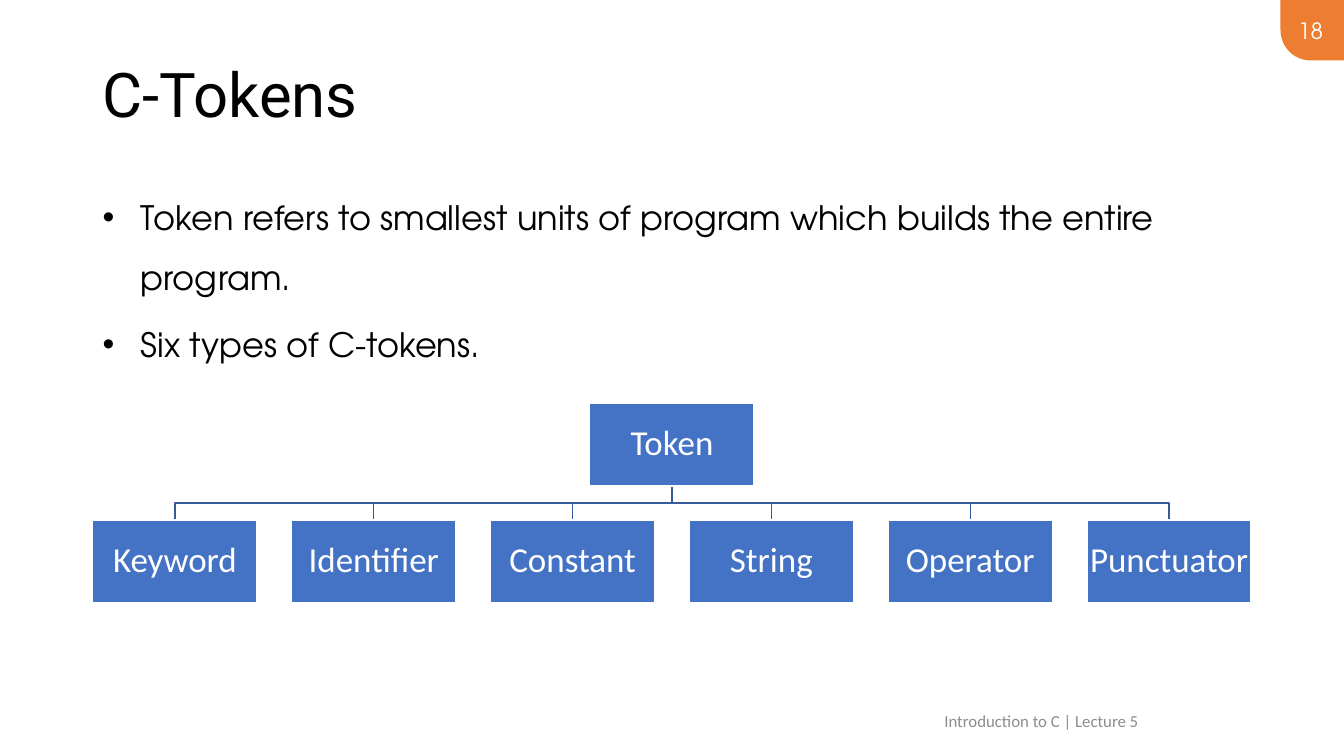
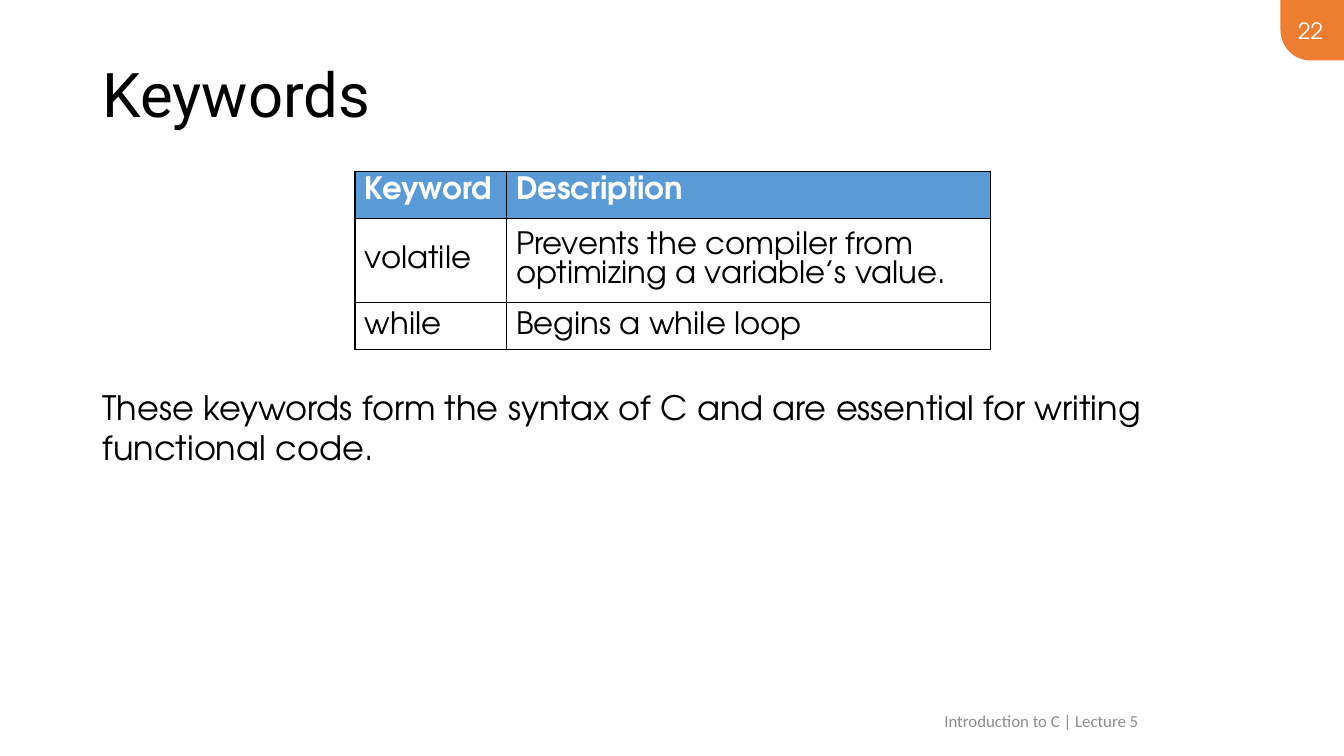
from dataclasses import dataclass

import pptx
import pptx.dml.color
import pptx.enum.shapes
import pptx.enum.text
import pptx.oxml.ns
import pptx.slide
import pptx.util
from lxml import etree

Inches = pptx.util.Inches
Pt = pptx.util.Pt
Shapes = pptx.enum.shapes.MSO_SHAPE
Align = pptx.enum.text.PP_ALIGN
Anchor = pptx.enum.text.MSO_ANCHOR

HEADING_FONT = "Roboto"
BODY_FONT = "TeX Gyre Adventor"
LABEL_FONT = "Calibri"
BLACK = "000000"
WHITE = "FFFFFF"
GREY = "8C8C8C"
ORANGE = "ED7D31"
BLUE = "4472C4"
BRANCH_BLUE = "365B9D"
HEADER_BLUE = "5B9BD5"

MARGIN = 0.92
FOOTER = "Introduction to C | Lecture 5"
TOKEN_KINDS = ["Keyword", "Identifier", "Constant", "String", "Operator", "Punctuator"]
KEYWORD_ROWS = [
    ("Keyword", "Description"),
    ("volatile", "Prevents the compiler from optimizing a variable’s value."),
    ("while", "Begins a while loop"),
]


@dataclass(frozen=True)
class Box:
    left: float
    top: float
    width: float
    height: float

    @property
    def center(self) -> float:
        return self.left + self.width / 2

    @property
    def bottom(self) -> float:
        return self.top + self.height

    def lengths(self) -> list[int]:
        return [Inches(v) for v in (self.left, self.top, self.width, self.height)]


def color(value: str) -> pptx.dml.color.RGBColor:
    return pptx.dml.color.RGBColor.from_string(value)


def add_bullet(paragraph, indent: float) -> None:
    properties = paragraph._p.get_or_add_pPr()
    properties.set("marL", str(Inches(indent)))
    properties.set("indent", str(-Inches(indent)))
    qn = pptx.oxml.ns.qn
    etree.SubElement(properties, qn("a:buFont"), typeface="Arial")
    etree.SubElement(properties, qn("a:buChar"), char="•")


def write(frame, *texts: str, size: float, font: str = BODY_FONT, ink: str = BLACK,
          bold: bool = False, align=Align.LEFT, spacing: float = 1.0,
          before: float = 0, bullet_indent: float = 0) -> None:
    frame.word_wrap = True
    for index, text in enumerate(texts):
        paragraph = frame.add_paragraph() if index else frame.paragraphs[0]
        if bullet_indent:
            add_bullet(paragraph, bullet_indent)
        paragraph.alignment = align
        paragraph.line_spacing = spacing
        if index:
            paragraph.space_before = Pt(before)
        run = paragraph.add_run()
        run.text = text
        run.font.name = font
        run.font.size = Pt(size)
        run.font.bold = bold
        run.font.color.rgb = color(ink)


def add_text(slide: pptx.slide.Slide, box: Box, *texts: str,
             anchor=Anchor.TOP, **style) -> None:
    frame = slide.shapes.add_textbox(*box.lengths()).text_frame
    frame.vertical_anchor = anchor
    write(frame, *texts, **style)


def add_block(slide: pptx.slide.Slide, preset, box: Box, fill: str):
    block = slide.shapes.add_shape(preset, *box.lengths())
    block.shadow.inherit = False
    block.fill.solid()
    block.fill.fore_color.rgb = color(fill)
    block.line.fill.background()
    return block


def add_page(deck, title: str, number: int) -> pptx.slide.Slide:
    slide = deck.slides.add_slide(deck.slide_layouts[6])
    corner = add_block(slide, Shapes.ROUND_1_RECTANGLE, Box(12.7, 0, 0.64, 0.6), ORANGE)
    corner.adjustments[0] = 0.5
    corner.rotation = 180
    add_text(slide, Box(MARGIN, 0.4, 11.5, 1.14), title, size=44,
             font=HEADING_FONT, spacing=0.9, anchor=Anchor.MIDDLE)
    add_text(slide, Box(12.58, 0.1, 0.64, 0.4), str(number), size=16,
             ink=WHITE, align=Align.RIGHT, anchor=Anchor.MIDDLE)
    add_text(slide, Box(8.08, 6.95, 4.5, 0.4), FOOTER, size=12, font=LABEL_FONT,
             ink=GREY, align=Align.CENTER, anchor=Anchor.MIDDLE)
    return slide


def add_branch(slide: pptx.slide.Slide, parent: Box, child: Box) -> None:
    middle = (parent.bottom + child.top) / 2
    points = [(parent.center, middle), (child.center, middle), (child.center, child.top)]
    builder = slide.shapes.build_freeform(Inches(parent.center), Inches(parent.bottom))
    builder.add_line_segments([(Inches(x), Inches(y)) for x, y in points], close=False)
    branch = builder.convert_to_shape()
    branch.shadow.inherit = False
    branch.fill.background()
    branch.line.color.rgb = color(BRANCH_BLUE)
    branch.line.width = Pt(1)


def add_node(slide: pptx.slide.Slide, box: Box, label: str) -> None:
    node = add_block(slide, Shapes.RECTANGLE, box, BLUE)
    node.line.color.rgb = color(WHITE)
    node.line.width = Pt(1)
    frame = node.text_frame
    frame.margin_left = frame.margin_right = Inches(0.02)
    frame.margin_top = frame.margin_bottom = Inches(0.02)
    frame.vertical_anchor = Anchor.MIDDLE
    write(frame, label, size=25, font=LABEL_FONT, ink=WHITE,
          align=Align.CENTER, spacing=0.9)


def add_token_tree(slide: pptx.slide.Slide) -> None:
    width, height, span = 1.63, 0.82, 11.49
    pitch = (span - width) / (len(TOKEN_KINDS) - 1)
    root = Box(MARGIN + (span - width) / 2, 4, width, height)
    leaves = [Box(MARGIN + i * pitch, 5.16, width, height)
              for i in range(len(TOKEN_KINDS))]
    for leaf in leaves:
        add_branch(slide, root, leaf)
    for box, label in zip([root, *leaves], ["Token", *TOKEN_KINDS]):
        add_node(slide, box, label)


def set_borders(cell, **widths: float) -> None:
    qn = pptx.oxml.ns.qn
    properties = cell._tc.get_or_add_tcPr()
    for side in ("L", "R", "T", "B"):
        width = Pt(widths.get(side, 1))
        line = etree.SubElement(properties, qn(f"a:ln{side}"), w=str(width))
        fill = etree.SubElement(line, qn("a:solidFill"))
        etree.SubElement(fill, qn("a:srgbClr"), val=BLACK)


def add_keyword_table(slide: pptx.slide.Slide) -> None:
    column_widths = [1.5, 4.8]
    row_heights = [0.41, 0.67, 0.41]
    box = Box(3.52, 1.7, sum(column_widths), sum(row_heights))
    table = slide.shapes.add_table(len(row_heights), len(column_widths),
                                   *box.lengths()).table
    table.horz_banding = False
    for column, width in zip(table.columns, column_widths):
        column.width = Inches(width)
    for index, (row, height, texts) in enumerate(zip(table.rows, row_heights, KEYWORD_ROWS)):
        row.height = Inches(height)
        header = index == 0
        for cell, text in zip(row.cells, texts):
            if header:
                set_borders(cell, B=1.5)
                cell.fill.solid()
                cell.fill.fore_color.rgb = color(HEADER_BLUE)
            else:
                set_borders(cell, T=1.5 if index == 1 else 1)
                cell.fill.background()
            cell.vertical_anchor = Anchor.TOP if header else Anchor.MIDDLE
            write(cell.text_frame, text, size=22, ink=WHITE if header else BLACK,
                  bold=header)


def build_tokens(deck) -> None:
    slide = add_page(deck, "C-Tokens", 18)
    add_text(slide, Box(MARGIN, 1.7, 11.5, 2.05),
             "Token refers to smallest units of program which builds the entire program.",
             "Six types of C-tokens.",
             size=24, spacing=1.5, before=4.8, bullet_indent=0.38)
    add_token_tree(slide)


def build_keywords(deck) -> None:
    slide = add_page(deck, "Keywords", 22)
    add_keyword_table(slide)
    add_text(slide, Box(MARGIN, 3.79, 11.31, 0.91),
             "These keywords form the syntax of C and are essential for writing functional code.",
             size=24)


def main() -> None:
    deck = pptx.Presentation()
    deck.slide_width = Inches(13.33)
    deck.slide_height = Inches(7.5)
    build_tokens(deck)
    build_keywords(deck)
    deck.save("out.pptx")


if __name__ == "__main__":
    main()
